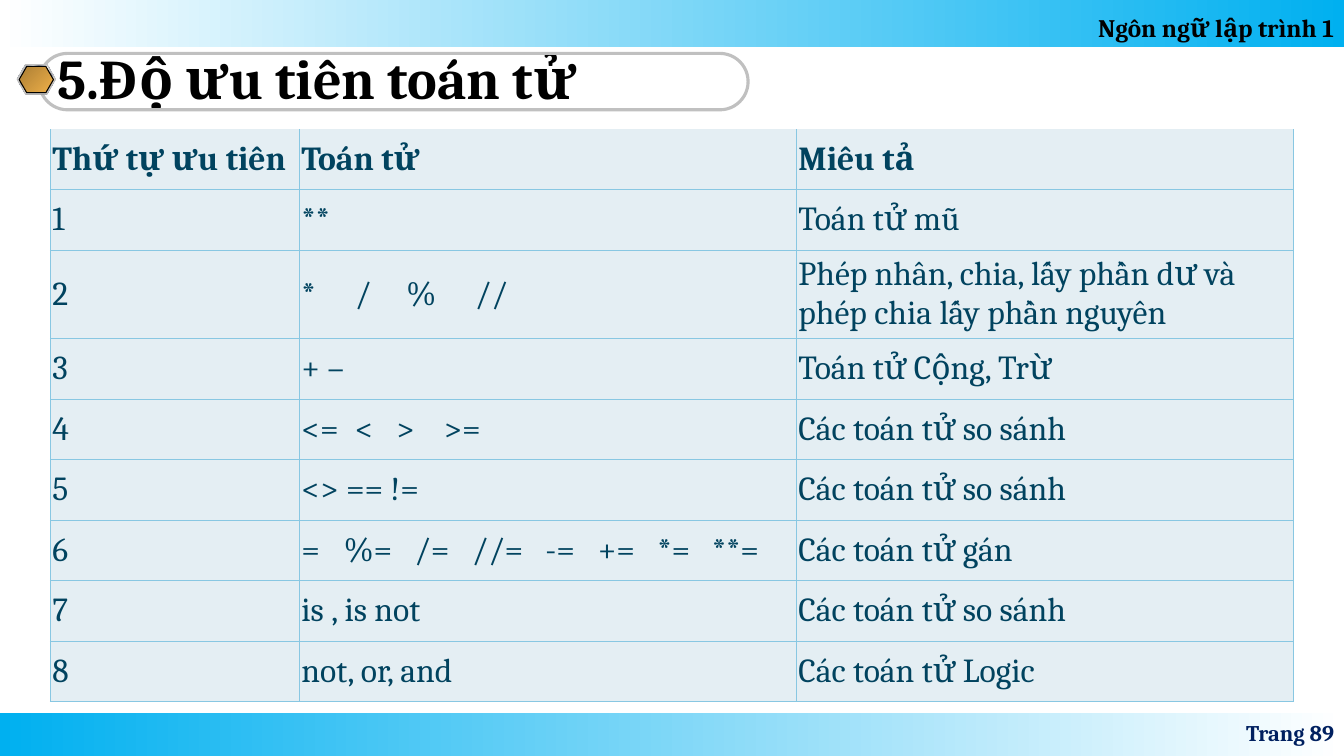
from dataclasses import dataclass
from typing import Any, Optional

import pptx
import pptx.dml.color
import pptx.enum.shapes
import pptx.enum.text
import pptx.oxml
import pptx.oxml.ns
import pptx.util

Inches = pptx.util.Inches
Pt = pptx.util.Pt
Kind = pptx.enum.shapes.MSO_SHAPE
Align = pptx.enum.text.PP_ALIGN
Anchor = pptx.enum.text.MSO_ANCHOR
qn = pptx.oxml.ns.qn
DRAWING_NS = pptx.oxml.ns.nsdecls("a")

FONT = "Cambria"
COLORS = {
    "white": "FFFFFF", "black": "000000", "sky": "00B0F0", "navy": "002060",
    "outline": "C0C0C0", "shade": "808080", "silver": "E6E6E6", "steel": "7D8496",
    "bronze": "AB7E34", "gold": "EFB049",
    "cell": "E4EEF3", "cell text": "01435F", "border": "88C7E2",
}
Stops = list[tuple[int, str]]
SILVER_STOPS: Stops = [
    (0, "silver"), (7, "steel"), (26, "silver"), (34, "steel"), (46, "silver"), (50, "white"),
    (54, "silver"), (66, "steel"), (74, "silver"), (93, "steel"), (100, "silver"),
]


@dataclass(frozen=True)
class Panel:
    kind: Any
    box: tuple[float, float, float, float]
    stops: Stops = ()
    angle: float = 0
    fill: Optional[str] = None
    line: Optional[str] = None
    line_width: float = 0.75
    adjustment: Optional[float] = None


@dataclass(frozen=True)
class Precedence:
    rank: str
    operators: str
    meaning: str
    height: float = 0.6
    tabs: tuple[float, ...] = ()
    header: bool = False


HEADER_BAND = Panel(Kind.RECTANGLE, (0, 0, 13.33, 0.47), [(0, "white"), (100, "sky")])
FOOTER_BAND = Panel(Kind.RECTANGLE, (0, 7.07, 13.33, 0.43), [(0, "sky"), (100, "white")])
TITLE_PARTS = [
    Panel(Kind.ROUNDED_RECTANGLE, (0.39, 0.53, 7.03, 0.56), line="outline",
          line_width=2.25, adjustment=0.5),
    Panel(Kind.HEXAGON, (0.17, 0.65, 0.38, 0.29), fill="shade", adjustment=0.289),
    Panel(Kind.HEXAGON, (0.17, 0.64, 0.38, 0.29), SILVER_STOPS, 45, line="outline",
          adjustment=0.289),
    Panel(Kind.HEXAGON, (0.19, 0.66, 0.34, 0.26), [(0, "bronze"), (100, "gold")], 45,
          line="black", adjustment=0.289),
]
COLUMN_WIDTHS = (2.47, 4.93, 4.93)
PRECEDENCES = [
    Precedence("Thứ tự ưu tiên", "Toán tử", "Miêu tả", header=True),
    Precedence("1", "**", "Toán tử mũ"),
    Precedence("2", "*\t/\t%\t//", "Phép nhân, chia, lấy phần dư và phép chia lấy phần nguyên",
               height=0.88, tabs=(0.53, 1.04, 1.72)),
    Precedence("3", "+ –", "Toán tử Cộng, Trừ"),
    Precedence("4", "<=\t<\t>\t>=", "Các toán tử so sánh", tabs=(0.53, 0.94, 1.41)),
    Precedence("5", "<> == !=", "Các toán tử so sánh"),
    Precedence("6", "=\t%=\t/=\t//=\t-=\t+=\t*=\t**=", "Các toán tử gán",
               tabs=(0.42, 1.12, 1.69, 2.42, 2.94, 3.53, 4.07)),
    Precedence("7", "is , is not", "Các toán tử so sánh"),
    Precedence("8", "not, or, and", "Các toán tử Logic"),
]


def rgb(color: str) -> pptx.dml.color.RGBColor:
    return pptx.dml.color.RGBColor.from_string(COLORS[color])


def write_text(frame: Any, text: str, *, size: float, color: str, bold: bool = True,
               align: Any = Align.LEFT, spacing: float = 1.0,
               tabs: tuple[float, ...] = ()) -> None:
    paragraph = frame.paragraphs[0]
    paragraph.alignment = align
    paragraph.line_spacing = spacing
    if tabs:
        stops = "".join(f'<a:tab pos="{Inches(tab)}" algn="l"/>' for tab in tabs)
        paragraph._p.get_or_add_pPr().append(
            pptx.oxml.parse_xml(f"<a:tabLst {DRAWING_NS}>{stops}</a:tabLst>"))
    run = paragraph.add_run()
    run.text = text
    run.font.name = FONT
    run.font.size = Pt(size)
    run.font.bold = bold
    run.font.color.rgb = rgb(color)


def fill_gradient(shape: Any, stops: Stops, angle: float) -> None:
    """Apply any number of stops; the angle runs clockwise in degrees."""
    shape.fill.gradient()
    shape.fill.gradient_angle = -angle % 360
    stop_list = shape._element.spPr.find(".//" + qn("a:gsLst"))
    for default_stop in list(stop_list):
        stop_list.remove(default_stop)
    for position, color in stops:
        stop_list.append(pptx.oxml.parse_xml(
            f'<a:gs {DRAWING_NS} pos="{position * 1000}">'
            f'<a:srgbClr val="{COLORS[color]}"/></a:gs>'))


def draw_panel(slide: Any, panel: Panel) -> Any:
    shape = slide.shapes.add_shape(panel.kind, *map(Inches, panel.box))
    shape.shadow.inherit = False
    if panel.adjustment is not None:
        shape.adjustments[0] = panel.adjustment
    if panel.stops:
        fill_gradient(shape, panel.stops, panel.angle)
    elif panel.fill:
        shape.fill.solid()
        shape.fill.fore_color.rgb = rgb(panel.fill)
    else:
        shape.fill.background()
    if panel.line:
        shape.line.color.rgb = rgb(panel.line)
        shape.line.width = Pt(panel.line_width)
    else:
        shape.line.fill.background()
    return shape


def set_borders(cell: Any, open_top: bool) -> None:
    properties = cell._tc.get_or_add_tcPr()
    for index, side in enumerate("LRTB"):
        paint = ("<a:noFill/>" if side == "T" and open_top else
                 f'<a:solidFill><a:srgbClr val="{COLORS["border"]}"/></a:solidFill>')
        properties.insert(index, pptx.oxml.parse_xml(
            f'<a:ln{side} {DRAWING_NS} w="{Pt(0.75)}">{paint}</a:ln{side}>'))


def draw_table(slide: Any) -> None:
    height = sum(precedence.height for precedence in PRECEDENCES)
    table = slide.shapes.add_table(
        len(PRECEDENCES), len(COLUMN_WIDTHS), Inches(0.5), Inches(1.28),
        Inches(sum(COLUMN_WIDTHS)), Inches(height)).table
    table.first_row = table.horz_banding = False
    for column, width in zip(table.columns, COLUMN_WIDTHS):
        column.width = Inches(width)
    for row, precedence in zip(table.rows, PRECEDENCES):
        row.height = Inches(precedence.height)
        texts = (precedence.rank, precedence.operators, precedence.meaning)
        for cell, text in zip(row.cells, texts):
            cell.vertical_anchor = Anchor.MIDDLE
            cell.margin_left = cell.margin_right = Inches(0.02)
            cell.margin_top = cell.margin_bottom = Inches(0.01)
            cell.fill.solid()
            cell.fill.fore_color.rgb = rgb("cell")
            set_borders(cell, open_top=precedence.header)
            write_text(cell.text_frame, text, size=24, color="cell text",
                       bold=precedence.header, tabs=precedence.tabs if "\t" in text else ())


def draw_title(slide: Any) -> None:
    for panel in TITLE_PARTS:
        draw_panel(slide, panel)
    title = slide.shapes.title
    title.left, title.top, title.width, title.height = map(Inches, (0.47, 0.53, 6.87, 0.56))
    title.text_frame.auto_size = pptx.enum.text.MSO_AUTO_SIZE.NONE
    title.text_frame.vertical_anchor = Anchor.MIDDLE
    write_text(title.text_frame, "5.Độ ưu tiên toán tử", size=40, color="black", spacing=0.9)


def main() -> None:
    presentation = pptx.Presentation()
    presentation.slide_width, presentation.slide_height = Inches(13.33), Inches(7.5)
    slide = presentation.slides.add_slide(presentation.slide_layouts.get_by_name("Title Only"))
    draw_panel(slide, FOOTER_BAND)
    course = draw_panel(slide, HEADER_BAND).text_frame
    course.vertical_anchor = Anchor.BOTTOM
    write_text(course, "Ngôn ngữ lập trình 1", size=18, color="black", align=Align.RIGHT)
    draw_title(slide)
    page_number = slide.shapes.add_textbox(*map(Inches, (10.22, 7.07, 3.11, 0.4))).text_frame
    page_number.word_wrap = True
    page_number.vertical_anchor = Anchor.MIDDLE
    write_text(page_number, "Trang 89", size=16, color="navy", align=Align.RIGHT)
    draw_table(slide)
    presentation.save("out.pptx")


if __name__ == "__main__":
    main()
